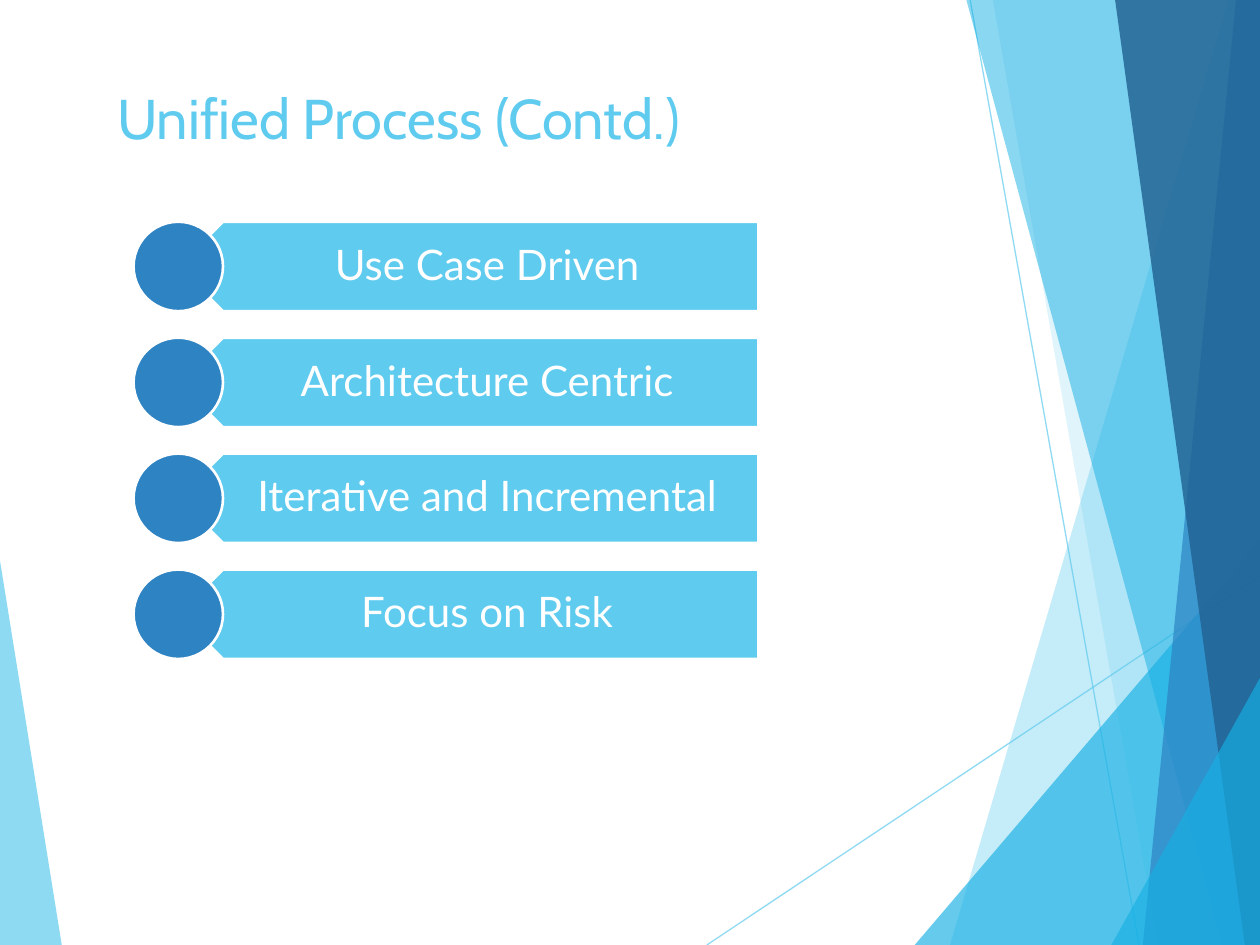
from dataclasses import dataclass

from lxml.etree import SubElement
from pptx import Presentation
from pptx.dml.color import RGBColor
from pptx.enum.shapes import MSO_CONNECTOR, MSO_SHAPE
from pptx.enum.text import MSO_ANCHOR, MSO_AUTO_SIZE, PP_ALIGN
from pptx.oxml.ns import qn
from pptx.util import Inches, Pt


@dataclass(frozen=True)
class Theme:
    sky: str = "5FCBEF"
    cyan: str = "17B0E4"
    blue: str = "2E83C3"
    navy: str = "226292"
    white: str = "FFFFFF"
    title_font: str = "Cabin"
    body_font: str = "Lato"
    title_size: float = 32
    body_size: float = 24
    hairline: float = 0.75
    outline: float = 1.5


THEME = Theme()
COLUMNS, ROWS = 10, 7.5

# Corner points in columns and rows, colour, opacity in percent
LEFT_SHARD = ([(0, 4.45), (0.49, 7.5), (0, 7.5)], THEME.sky, 70)
RIGHT_SHARDS = [
    ([(9.75, 0), (7.54, 7.5), (10, 7.5), (10, 0)], THEME.sky, 36),
    ([(7.88, 0), (9.19, 7.5), (10, 7.5), (10, 0)], THEME.sky, 20),
    ([(7.26, 7.5), (10, 4.29), (10, 7.5)], THEME.cyan, 66),
    ([(7.67, 0), (9.7, 7.5), (10, 7.5), (10, 0)], THEME.cyan, 50),
    ([(9.81, 0), (9.07, 7.5), (10, 7.5), (10, 0)], THEME.blue, 70),
    ([(8.85, 0), (9.88, 7.5), (10, 7.5), (10, 0)], THEME.navy, 82),
    ([(8.82, 7.5), (10, 5.38), (10, 7.5)], THEME.cyan, 66),
]
RAYS = [((5.61, 7.5), (10, 4.57)), ((7.7, 0), (9.04, 7.5))]

PRINCIPLES = ["Use Case Driven", "Architecture Centric",
              "Iterative and Incremental", "Focus on Risk"]
LIST_LEFT, LIST_TOP, LIST_RIGHT = 1.06, 1.76, 6.02
BAR_HEIGHT, BAR_PITCH = 0.71, 0.92


def set_opacity(fill, percent):
    color = next(fill._xPr.iter(qn("a:srgbClr")))
    SubElement(color, qn("a:alpha"), val=str(percent * 1000))


class SlideBuilder:
    """Draws on one slide; lengths are columns and rows of the grid."""

    def __init__(self, prs, theme):
        self.theme = theme
        self.column = prs.slide_width / COLUMNS
        self.row = prs.slide_height / ROWS
        self.s = prs.slides.add_slide(prs.slide_layouts[5])

    def point(self, x, y):
        return round(x * self.column), round(y * self.row)

    def box(self, x, y, w, h):
        return *self.point(x, y), *self.point(w, h)

    def paint(self, sp, color, line=None):
        sp.shadow.inherit = False
        sp.fill.solid()
        sp.fill.fore_color.rgb = RGBColor.from_string(color)
        if line:
            sp.line.color.rgb = RGBColor.from_string(line)
            sp.line.width = Pt(self.theme.outline)
        else:
            sp.line.fill.background()

    def set_text(self, tf, text, frame, align, color, font):
        for name, value in frame.items():
            setattr(tf, name, value)
        p = tf.paragraphs[0]
        p.alignment, p.line_spacing = align, 0.9
        r = p.add_run()
        r.text = text
        for name, value in font.items():
            setattr(r.font, name, value)
        r.font.color.rgb = RGBColor.from_string(color)

    def title(self, text, *box):
        sp = self.s.shapes.title
        sp.left, sp.top, sp.width, sp.height = self.box(*box)
        frame = {"word_wrap": True, "auto_size": MSO_AUTO_SIZE.NONE,
                 "vertical_anchor": MSO_ANCHOR.TOP}
        font = {"name": self.theme.title_font, "size": Pt(self.theme.title_size)}
        self.set_text(sp.text_frame, text, frame, PP_ALIGN.LEFT,
                      self.theme.sky, font)

    def label(self, text, *box):
        sp = self.s.shapes.add_textbox(*self.box(*box))
        frame = {"word_wrap": True, "vertical_anchor": MSO_ANCHOR.MIDDLE,
                 "margin_left": Inches(0.31), "margin_right": Inches(0.19),
                 "margin_top": Inches(0.1), "margin_bottom": Inches(0.1)}
        font = {"name": self.theme.body_font, "size": Pt(self.theme.body_size)}
        self.set_text(sp.text_frame, text, frame, PP_ALIGN.CENTER,
                      self.theme.white, font)

    def shape(self, preset, color, *box, rotation=0):
        sp = self.s.shapes.add_shape(preset, *self.box(*box))
        sp.rotation = rotation
        self.paint(sp, color, self.theme.white)

    def shard(self, corners, color, opacity):
        start, *rest = [self.point(*corner) for corner in corners]
        outline = self.s.shapes.build_freeform(*start)
        outline.add_line_segments(rest, close=True)
        sp = outline.convert_to_shape()
        self.paint(sp, color)
        set_opacity(sp.fill, opacity)

    def ray(self, start, end):
        line = self.s.shapes.add_connector(
            MSO_CONNECTOR.STRAIGHT, *self.point(*start), *self.point(*end))
        line.line.color.rgb = RGBColor.from_string(self.theme.sky)
        line.line.width = Pt(self.theme.hairline)
        set_opacity(line.line.fill, 70)
        SubElement(line._element.spPr, qn("a:effectLst"))

    def principle(self, text, top):
        """Arrow-ended bar with a disc over its tip."""
        middle = LIST_LEFT + BAR_HEIGHT / 2
        text_left = middle + BAR_HEIGHT / 4
        self.shape(MSO_SHAPE.PENTAGON, self.theme.sky, middle, top,
                   LIST_RIGHT - middle, BAR_HEIGHT, rotation=180)
        self.label(text, text_left, top, LIST_RIGHT - text_left, BAR_HEIGHT)
        self.shape(MSO_SHAPE.OVAL, self.theme.blue, LIST_LEFT, top,
                   BAR_HEIGHT, BAR_HEIGHT)


def main():
    prs = Presentation()
    prs.slide_width, prs.slide_height = Inches(10), Inches(7.5)
    slide = SlideBuilder(prs, THEME)
    slide.shard(*LEFT_SHARD)
    for ray in RAYS:
        slide.ray(*ray)
    for shard in RIGHT_SHARDS:
        slide.shard(*shard)
    for i, text in enumerate(PRINCIPLES):
        slide.principle(text, LIST_TOP + i * BAR_PITCH)
    slide.title("Unified Process (Contd.)", 0.83, 0.67, 8.29, 0.75)
    prs.save("out.pptx")


if __name__ == "__main__":
    main()
